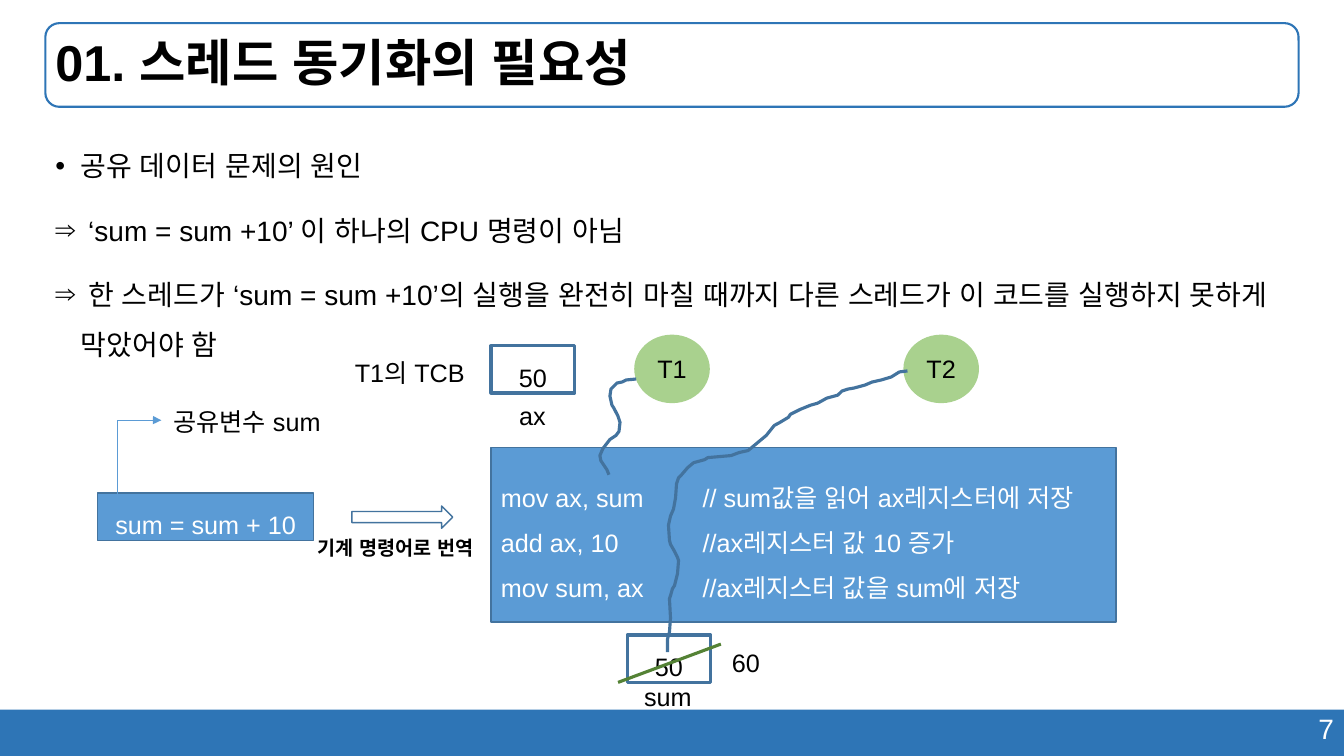
from dataclasses import dataclass
from typing import Optional

from lxml import etree
from pptx import Presentation
from pptx.dml.color import RGBColor
from pptx.enum.shapes import MSO_CONNECTOR, MSO_SHAPE
from pptx.enum.text import MSO_ANCHOR, MSO_AUTO_SIZE, PP_ALIGN
from pptx.oxml.ns import qn
from pptx.util import Inches, Pt

RECT, ROUND = MSO_SHAPE.RECTANGLE, MSO_SHAPE.ROUNDED_RECTANGLE
OVAL, ARROW = MSO_SHAPE.OVAL, MSO_SHAPE.RIGHT_ARROW
STRAIGHT, ELBOW = MSO_CONNECTOR.STRAIGHT, MSO_CONNECTOR.ELBOW
LEFT, CENTER, RIGHT = PP_ALIGN.LEFT, PP_ALIGN.CENTER, PP_ALIGN.RIGHT
TOP, MIDDLE = MSO_ANCHOR.TOP, MSO_ANCHOR.MIDDLE
FIT = MSO_AUTO_SIZE.SHAPE_TO_FIT_TEXT

BLACK = RGBColor(0x00, 0x00, 0x00)
WHITE = RGBColor(0xFF, 0xFF, 0xFF)
NAVY = RGBColor(0x2E, 0x75, 0xB6)
BLUE = RGBColor(0x5B, 0x9B, 0xD5)
EDGE = RGBColor(0x43, 0x73, 0x9E)
LIME = RGBColor(0xA9, 0xD1, 0x8E)
GREEN = RGBColor(0x54, 0x82, 0x35)
FONT = "Arial"

Place = tuple[float, float, float, float]


@dataclass
class Block:
    place: Place
    kind: int = RECT
    fill: Optional[RGBColor] = None
    line: Optional[RGBColor] = None
    weight: float = 1
    text: str = ""
    color: RGBColor = BLACK
    align: PP_ALIGN = CENTER
    spacing: float = 1.5
    tab: float = 0


@dataclass
class Label:
    place: Place
    text: str
    size: float = 18
    bold: bool = False
    wrap: bool = False


BULLETS = [
    ("•", "공유 데이터 문제의 원인"),
    ("⇒", " ‘sum = sum +10’ 이 하나의 CPU 명령이 아님"),
    ("⇒", " 한 스레드가 ‘sum = sum +10’의 실행을 완전히 마칠 때까지 "
          "다른 스레드가 이 코드를 실행하지 못하게 막았어야 함"),
]
CODE = ("mov ax, sum\t// sum값을 읽어 ax레지스터에 저장\n"
        "add ax, 10 \t//ax레지스터 값 10 증가\n"
        "mov sum, ax \t//ax레지스터 값을 sum에 저장")

FRAME = [
    Block((0, 7.04, 13.33, 0.46), fill=NAVY),
    Block((0.45, 0.23, 12.43, 0.83), ROUND, line=NAVY, weight=1.5),
]
CODE_BLOCKS = [
    Block((0.97, 4.89, 2.14, 0.47), fill=BLUE, line=EDGE,
          text="sum = sum + 10", color=WHITE),
    Block((4.87, 4.44, 6.2, 1.73), fill=BLUE, line=EDGE,
          text=CODE, color=WHITE, align=LEFT, tab=2),
    Block((3.49, 5.02, 1, 0.22), ARROW, line=EDGE),
    Block((6.29, 3.32, 0.75, 0.68), OVAL, LIME, text="T1", spacing=1),
    Block((8.96, 3.32, 0.75, 0.68), OVAL, LIME, text="T2", spacing=1),
]
VALUE_BOXES = [
    Block(place, line=EDGE, weight=2.25, text="50")
    for place in [(6.22, 6.3, 0.83, 0.47), (4.87, 3.43, 0.83, 0.47)]
]
LABELS = [
    Label((3.05, 5.27, 1.9, 0.34), "기계 명령어로 번역", 14, True, True),
    Label((6.29, 6.71, 0.68, 0.4), "sum"),
    Label((3.42, 3.5, 1.32, 0.4), "T1의 TCB"),
    Label((5.05, 3.92, 0.47, 0.4), "ax"),
    Label((7.16, 6.37, 0.48, 0.4), "60"),
    Label((1.62, 3.98, 1.76, 0.4), "공유변수 sum"),
]
# Trace points in hundredths of an inch
T1_TRACE = [
    (631, 376), (621, 377), (617, 379), (612, 380), (606, 386), (605, 393),
    (607, 402), (609, 405), (613, 413), (615, 419), (614, 428), (611, 432),
    (605, 436), (598, 445), (595, 452), (596, 457), (600, 463), (602, 466),
    (604, 471),
]
T2_TRACE = [
    (900, 368), (892, 369), (884, 374), (874, 377), (865, 379), (858, 382),
    (847, 385), (841, 386), (835, 388), (831, 392), (820, 395), (811, 400),
    (804, 402), (794, 406), (784, 411), (782, 414), (772, 420), (768, 422),
    (760, 432), (754, 437), (748, 442), (742, 447), (733, 449), (725, 452),
    (702, 454), (699, 456), (688, 459), (682, 464), (676, 471), (673, 474),
    (671, 480), (670, 494), (668, 505), (665, 512), (663, 521), (664, 536),
    (665, 540), (669, 547), (672, 553), (673, 556), (672, 569), (669, 581),
    (667, 584), (665, 591), (664, 594), (665, 613), (664, 627), (662, 634),
    (662, 647),
]


def write(box, text: str, *, size: float = 18, color: RGBColor = BLACK,
          bold: bool = False, align: PP_ALIGN = LEFT, spacing: float = 1,
          anchor: MSO_ANCHOR = TOP, wrap: bool = True, grow: bool = False,
          gap: float = 0, bullets: str = "", tab: float = 0) -> None:
    frame = box.text_frame
    frame.word_wrap = wrap
    frame.vertical_anchor = anchor
    if grow:
        frame.auto_size = FIT
    for index, row in enumerate(text.split("\n")):
        para = frame.add_paragraph() if index else frame.paragraphs[0]
        properties = para._p.get_or_add_pPr()
        if bullets:
            properties.set("marL", str(Inches(0.25)))
            properties.set("indent", str(Inches(-0.25)))
            etree.SubElement(properties, qn("a:buFont"), typeface=FONT)
            etree.SubElement(properties, qn("a:buChar"), char=bullets[index])
        if tab:
            stops = etree.SubElement(properties, qn("a:tabLst"))
            etree.SubElement(stops, qn("a:tab"), pos=str(Inches(tab)), algn="l")
        para.alignment = align
        para.line_spacing = spacing
        if index and gap:
            para.space_before = Pt(gap)
        span = para.add_run()
        span.text = row
        span.font.name = FONT
        span.font.size = Pt(size)
        span.font.bold = bold
        span.font.color.rgb = color
        etree.SubElement(span._r.get_or_add_rPr(), qn("a:ea"), typeface=FONT)


def add_text(slide, place: Place, text: str, **style) -> None:
    write(slide.shapes.add_textbox(*map(Inches, place)), text, **style)


def add_block(slide, block: Block) -> None:
    shape = slide.shapes.add_shape(block.kind, *map(Inches, block.place))
    paint(shape, block.fill, block.line, block.weight)
    if block.text:
        write(shape, block.text, color=block.color, align=block.align,
              spacing=block.spacing, anchor=MIDDLE, tab=block.tab)


def paint(shape, fill: Optional[RGBColor], line: Optional[RGBColor],
          weight: float) -> None:
    shape.shadow.inherit = False
    if fill is None:
        shape.fill.background()
    else:
        shape.fill.solid()
        shape.fill.fore_color.rgb = fill
    if line is None:
        shape.line.fill.background()
    else:
        shape.line.color.rgb = line
        shape.line.width = Pt(weight)


def add_trace(slide, points: list[tuple[int, int]]) -> None:
    builder = slide.shapes.build_freeform(*points[0], scale=Inches(0.01))
    builder.add_line_segments(points[1:], close=False)
    paint(builder.convert_to_shape(), None, EDGE, 2.25)


def add_line(slide, kind: MSO_CONNECTOR, ends: Place, color: RGBColor,
             weight: float):
    line = slide.shapes.add_connector(kind, *map(Inches, ends))
    line.line.color.rgb = color
    line.line.width = Pt(weight)
    etree.SubElement(line._element.spPr, qn("a:effectLst"))
    return line


def add_variable_arrow(slide) -> None:
    # A quarter turn makes the elbow rise first and then run right
    arrow = add_line(slide, ELBOW, (1.85, 4.86, 0.91, 4.42), BLUE, 0.5)
    properties = arrow._element.spPr
    properties.find(qn("a:xfrm")).set("rot", str(90 * 60000))
    guides = properties.find(qn("a:prstGeom")).find(qn("a:avLst"))
    etree.SubElement(guides, qn("a:gd"), name="adj1", fmla="val 100200")
    etree.SubElement(properties.find(qn("a:ln")), qn("a:tailEnd"),
                     type="triangle")


def main() -> None:
    deck = Presentation()
    deck.slide_width, deck.slide_height = Inches(13.33), Inches(7.5)
    slide = deck.slides.add_slide(deck.slide_layouts[6])

    # Frame, title and bullets
    for block in FRAME:
        add_block(slide, block)
    add_text(slide, (9.43, 7.01, 3.9, 0.44), "7", size=20, color=WHITE,
             align=RIGHT, grow=True)
    add_text(slide, (0.45, 0.23, 12.43, 0.83), "01. 스레드 동기화의 필요성",
             size=36, bold=True, spacing=0.9, anchor=MIDDLE)
    add_text(slide, (0.45, 1.26, 12.43, 5.53),
             "\n".join(text for _, text in BULLETS), size=20, spacing=1.5,
             gap=10, bullets="".join(mark for mark, _ in BULLETS))

    # Code, threads and their traces
    for block in CODE_BLOCKS:
        add_block(slide, block)
    for trace in (T1_TRACE, T2_TRACE):
        add_trace(slide, trace)

    # Stored values, labels and lines
    for block in VALUE_BOXES:
        add_block(slide, block)
    for label in LABELS:
        add_text(slide, label.place, label.text, size=label.size,
                 bold=label.bold, wrap=label.wrap, grow=True)
    add_line(slide, STRAIGHT, (6.13, 6.77, 7.15, 6.39), GREEN, 2.25)
    add_variable_arrow(slide)
    deck.save("out.pptx")


if __name__ == "__main__":
    main()
